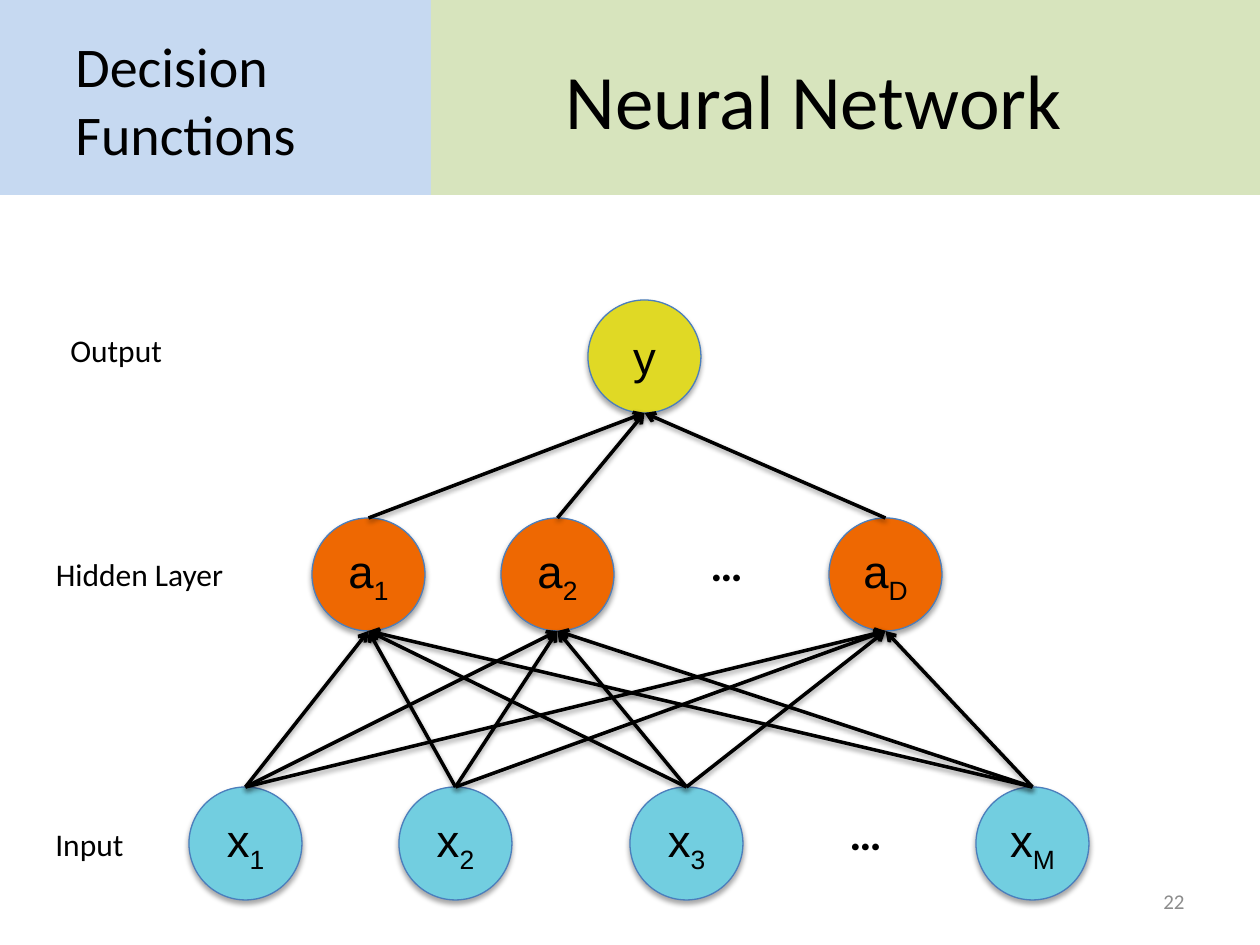
from itertools import product
from lxml.etree import SubElement
from pptx import Presentation
from pptx.dml.color import RGBColor
from pptx.enum.shapes import MSO_CONNECTOR, MSO_SHAPE
from pptx.enum.text import MSO_ANCHOR, PP_ALIGN
from pptx.oxml.ns import qn
from pptx.util import Pt

COLORS = {
    "black": "000000",
    "number": "8C8C8C",
    "topic": "C6D9F1",
    "title": "D7E4BD",
    "input": "72CEE0",
    "hidden": "EE6802",
    "output": "E0D925",
    "outline": "4B7EBC",
}
EMU_PER_PX = 914400 / 126
NODE = 113


def emu(*lengths):
    return [round(length * EMU_PER_PX) for length in lengths]


class NetworkSlide:
    def __init__(self, deck):
        self.page = deck.slides.add_slide(deck.slide_layouts[6])

    def color(self, name):
        return RGBColor.from_string(COLORS[name])

    def style(self, span, size, font="Calibri", color="black", bold=False):
        span.font.size = Pt(size)
        span.font.name = font
        span.font.bold = bold
        span.font.color.rgb = self.color(color)

    def shadow(self, properties, opacity, distance):
        effects = properties.find(qn("a:effectLst"))
        if effects is None:
            effects = SubElement(properties, qn("a:effectLst"))
        outer = SubElement(effects, qn("a:outerShdw"), blurRad=str(Pt(3.1)),
                           dist=str(Pt(distance)), dir="5400000", rotWithShape="0")
        shade = SubElement(outer, qn("a:srgbClr"), val=COLORS["black"])
        SubElement(shade, qn("a:alpha"), val=str(opacity * 1000))

    def shape(self, kind, left, top, width, height, fill):
        shape = self.page.shapes.add_shape(kind, *emu(left, top, width, height))
        shape.shadow.inherit = False
        shape.fill.solid()
        shape.fill.fore_color.rgb = self.color(fill)
        return shape

    def band(self, left, width, fill):
        band = self.shape(MSO_SHAPE.RECTANGLE, left, 0, width, 195, fill)
        band.line.fill.background()

    def text(self, words, left, top, width, height, size, align=PP_ALIGN.LEFT,
             anchor=MSO_ANCHOR.MIDDLE, **look):
        box = self.page.shapes.add_textbox(*emu(left, top, width, height))
        frame = box.text_frame
        frame.word_wrap = True
        frame.vertical_anchor = anchor
        frame.text = words
        para = frame.paragraphs[0]
        para.alignment = align
        self.style(para.runs[0], size, **look)

    def node(self, letter, index, left, top, fill):
        node = self.shape(MSO_SHAPE.FLOWCHART_CONNECTOR, left, top, NODE, NODE, fill)
        node.line.color.rgb = self.color("outline")
        node.line.width = Pt(0.75)
        self.shadow(node._element.spPr, 35, 1.8)
        frame = node.text_frame
        frame.word_wrap = False
        frame.vertical_anchor = MSO_ANCHOR.MIDDLE
        frame.text = letter
        para = frame.paragraphs[0]
        para.alignment = PP_ALIGN.CENTER
        if index:
            para.add_run().text = index
        for span in para.runs:
            self.style(span, 26, "Arial")
        if index:
            para.runs[1].font._element.set("baseline", "-25000")

    def arrow(self, source, target):
        (source_left, source_top), (target_left, target_top) = source, target
        middle = NODE / 2
        line = self.page.shapes.add_connector(MSO_CONNECTOR.STRAIGHT, *emu(
            source_left + middle, source_top, target_left + middle, target_top + NODE))
        line.line.color.rgb = self.color("black")
        line.line.width = Pt(2)
        SubElement(line.line._get_or_add_ln(), qn("a:tailEnd"), type="arrow")
        self.shadow(line._element.spPr, 38, 1.6)


def main():
    deck = Presentation()
    deck.slide_width, deck.slide_height = emu(1260, 945)
    slide = NetworkSlide(deck)

    slide.band(0, 431, "topic")
    slide.band(431, 829, "title")
    slide.text("Neural Network", 431, 20, 766, 158, 44, PP_ALIGN.CENTER)
    slide.text("22", 903, 876, 294, 50, 12, PP_ALIGN.RIGHT, color="number")
    slide.text("Decision Functions", 63, 20, 368, 158, 32)

    layers = [
        ("input", "x", 787, {"1": 189, "2": 399, "3": 630, "M": 976}),
        ("hidden", "a", 518, {"1": 312, "2": 501, "D": 829}),
        ("output", "y", 300, {"": 588}),
    ]
    places = []
    for fill, letter, top, lefts in layers:
        for index, left in lefts.items():
            slide.node(letter, index, left, top, fill)
        places.append([(left, top) for left in lefts.values()])

    for left, top in [(690, 529), (829, 798)]:
        slide.text("…", left, top, 73, 68, 26, PP_ALIGN.CENTER, bold=True)

    for lower, upper in zip(places, places[1:]):
        for source, target in product(lower, upper):
            slide.arrow(source, target)

    for words, left, top, width, align in [
        ("Output", 58, 325, 179, PP_ALIGN.LEFT),
        ("Input", 0, 819, 179, PP_ALIGN.CENTER),
        ("Hidden Layer", -2, 549, 283, PP_ALIGN.CENTER),
    ]:
        slide.text(words, left, top, width, 50, 18, align, MSO_ANCHOR.TOP)

    deck.save("out.pptx")


if __name__ == "__main__":
    main()
